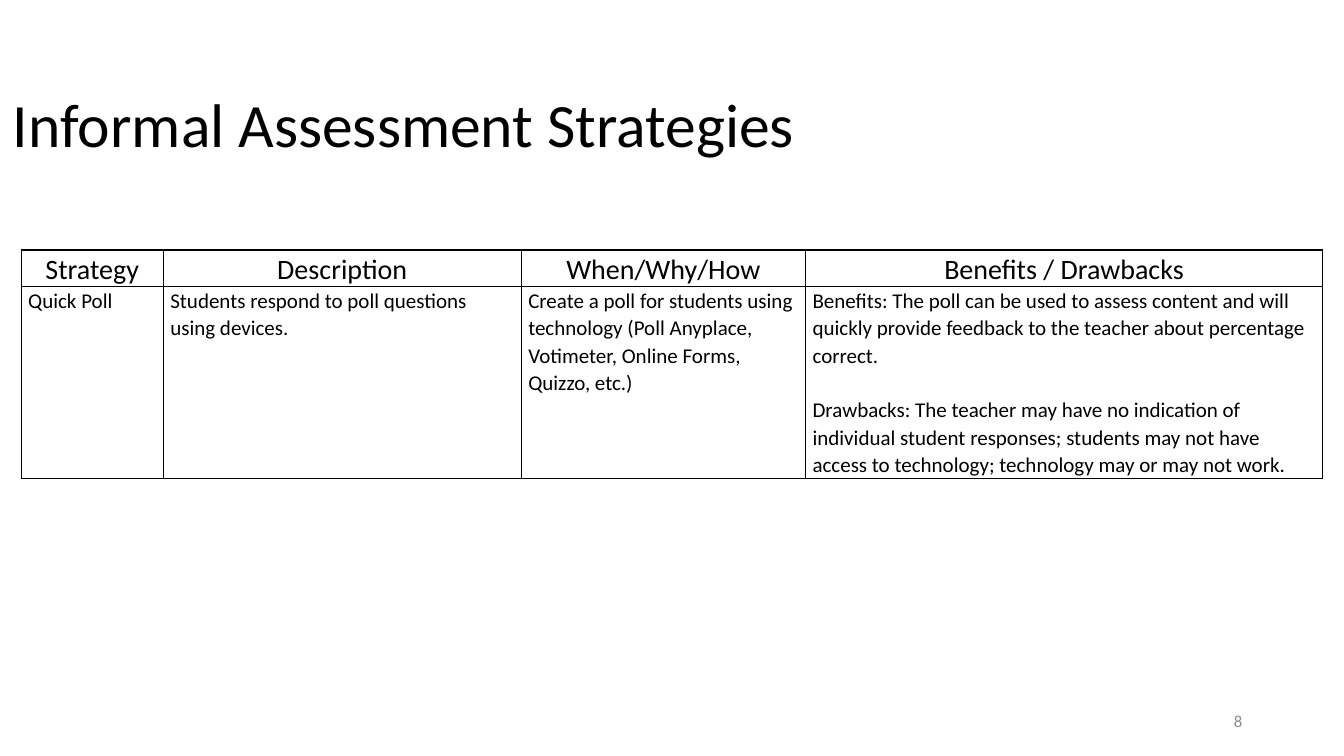
"""Build the slide on informal assessment strategies with its table."""
import pptx
import pptx.dml.color
import pptx.enum.text
import pptx.oxml
import pptx.oxml.ns
import pptx.util
from pptx.util import Inches

BLACK = pptx.dml.color.RGBColor(0x00, 0x00, 0x00)
GRAY = pptx.dml.color.RGBColor(0x8C, 0x8C, 0x8C)
ALIGN = pptx.enum.text.PP_ALIGN
MIDDLE = pptx.enum.text.MSO_ANCHOR.MIDDLE

COLUMN_WIDTHS = [1.41, 3.55, 2.82, 5.13]
ROW_HEIGHTS = [0.36, 1.91]
ROWS = [
    [["Strategy"], ["Description"], ["When/Why/How"], ["Benefits / Drawbacks"]],
    [
        ["Quick Poll"],
        ["Students respond to poll questions using devices."],
        ["Create a poll for students using technology (Poll Anyplace, "
         "Votimeter, Online Forms, Quizzo, etc.)"],
        ["Benefits: The poll can be used to assess content and will quickly "
         "provide feedback to the teacher about percentage correct.",
         "Drawbacks: The teacher may have no indication of individual student "
         "responses; students may not have access to technology; technology "
         "may or may not work."],
    ],
]
ROW_STYLES = [(20, ALIGN.CENTER, 0.04), (15, ALIGN.LEFT, 0.07)]


def add_run(paragraph, text, size, color, alignment, line_spacing):
    paragraph.alignment = alignment
    paragraph.line_spacing = line_spacing
    run = paragraph.add_run()
    run.text = text
    run.font.name = "Calibri"
    run.font.size = pptx.util.Pt(size)
    run.font.color.rgb = color


def add_borders(cell):
    properties = cell._tc.get_or_add_tcPr()
    for position, side in enumerate(["lnL", "lnR", "lnT", "lnB"]):
        border = pptx.oxml.parse_xml(
            f'<a:{side} {pptx.oxml.ns.nsdecls("a")} w="12700">'
            f'<a:solidFill><a:srgbClr val="{BLACK}"/></a:solidFill></a:{side}>'
        )
        properties.insert(position, border)


presentation = pptx.Presentation()
presentation.slide_width = Inches(13.33)
presentation.slide_height = Inches(7.5)
slide = presentation.slides.add_slide(presentation.slide_layouts[6])

text_boxes = [
    ("Informal Assessment Strategies", (0.03, 0.54, 11.5, 1.45), 44, BLACK, ALIGN.LEFT, 0.9),
    ("8", (9.42, 6.95, 3, 0.4), 12, GRAY, ALIGN.RIGHT, 1.0),
]
for text, bounds, size, color, alignment, line_spacing in text_boxes:
    text_box = slide.shapes.add_textbox(*[Inches(length) for length in bounds])
    frame = text_box.text_frame
    frame.word_wrap = True
    frame.vertical_anchor = MIDDLE
    add_run(frame.paragraphs[0], text, size, color, alignment, line_spacing)

table = slide.shapes.add_table(
    len(ROWS), len(COLUMN_WIDTHS), Inches(0.21), Inches(2.48),
    Inches(sum(COLUMN_WIDTHS)), Inches(sum(ROW_HEIGHTS)),
).table
table.first_row = False
table.horz_banding = False
for column, width in zip(table.columns, COLUMN_WIDTHS):
    column.width = Inches(width)

for row, height, contents, style in zip(table.rows, ROW_HEIGHTS, ROWS, ROW_STYLES):
    row.height = Inches(height)
    size, alignment, side_margin = style
    for cell, texts in zip(row.cells, contents):
        cell.margin_left = cell.margin_right = Inches(side_margin)
        cell.margin_top = cell.margin_bottom = 0
        cell.fill.background()
        add_borders(cell)
        for index, text in enumerate(texts):
            if index == 0:
                paragraph = cell.text_frame.paragraphs[0]
            else:
                paragraph = cell.text_frame.add_paragraph()
                paragraph.space_before = pptx.util.Pt(19.6)
            add_run(paragraph, text, size, BLACK, alignment, 1.07)

presentation.save("out.pptx")
